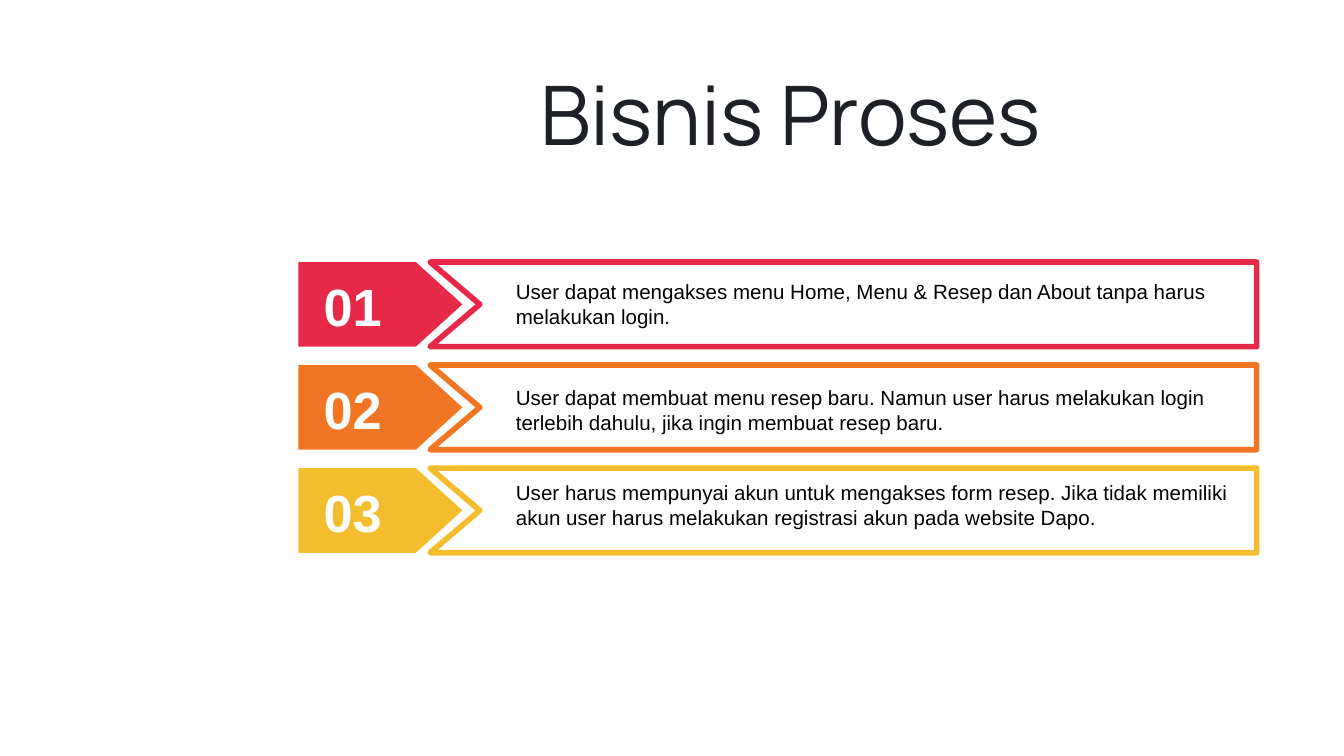
from dataclasses import dataclass

from lxml.etree import SubElement
from pptx import Presentation
from pptx.dml.color import RGBColor
from pptx.enum.shapes import MSO_SHAPE as Shape
from pptx.enum.text import MSO_ANCHOR as Anchor, MSO_AUTO_SIZE as Fit, PP_ALIGN as Align
from pptx.oxml.ns import qn
from pptx.util import Inches, Pt

WIDE = 10
HIGH = WIDE * 9 / 16

# Grid: columns and rows in inches
TAG_X, TAG_W = 2.22, 1.22
BOX_X, BOX_W, NOTCH = 3.2, 6.15, 0.37
NUM_X, NUM_W = 2.31, 0.66
TEXT_X, TEXT_H = 3.74, 0.47
TOP, ROW_H = 1.95, 0.63
STEP = 2.3 / 3

# Text formats
TITLE = {"size": Pt(44), "name": "Manrope"}
NUMBER = {"size": Pt(28), "name": "Arial", "bold": True}
BODY = {"size": Pt(11), "name": "Arial"}
MIDDLE = {"vertical_anchor": Anchor.MIDDLE}
GROW = {"auto_size": Fit.SHAPE_TO_FIT_TEXT}
FLAT = {"margin_top": 0, "margin_bottom": 0}


@dataclass
class Step:
    hue: str
    lines: list[str]
    drop: float  # gap from row top to text box
    width: float = 5.46


STEPS = [
    Step("E62949", ["User dapat mengakses menu Home, Menu & Resep dan About "
                    "tanpa harus melakukan login."], 0.08),
    Step("F07624", ["User dapat membuat menu resep baru. Namun user harus melakukan login",
                    "terlebih dahulu, jika ingin membuat resep baru."], 0.1),
    Step("F4BD2D", ["User harus mempunyai akun untuk mengakses form resep. Jika tidak "
                    "memiliki akun user harus melakukan registrasi akun pada website Dapo."],
         0.04, 5.51),
]


def color(code: str) -> RGBColor:
    return RGBColor.from_string(code)


def apply(target, values: dict) -> None:
    for key, value in values.items():
        setattr(target, key, value)


def paint(shape, code: str) -> None:
    shape.shadow.inherit = False
    shape.fill.solid()
    shape.fill.fore_color.rgb = color(code)


def write(slide, area: tuple, lines: list[str], font: dict, ink: str,
          frame: dict, align=Align.LEFT) -> None:
    text = slide.shapes.add_textbox(*map(Inches, area)).text_frame
    apply(text, {"word_wrap": True, **frame})
    text.text = "\n".join(lines)
    for par in text.paragraphs:
        par.alignment = align
        for run in par.runs:
            apply(run.font, font)
            run.font.color.rgb = color(ink)


def draw_tag(slide, top: float, hue: str) -> None:
    area = map(Inches, (TAG_X, top, TAG_W, ROW_H))
    tag = slide.shapes.add_shape(Shape.PENTAGON, *area)
    tag.adjustments[0] = 0.55
    paint(tag, hue)
    tag.line.fill.background()


def draw_box(slide, top: float, hue: str) -> None:
    right, base = BOX_X + BOX_W, top + ROW_H
    start, *rest = [(Inches(x), Inches(y)) for x, y in (
        (BOX_X, top), (right, top), (right, base), (BOX_X, base),
        (BOX_X + NOTCH, top + ROW_H / 2))]
    pen = slide.shapes.build_freeform(*start)
    pen.add_line_segments(rest, close=True)
    box = pen.convert_to_shape()
    paint(box, "FFFFFF")
    box.line.color.rgb = color(hue)
    box.line.width = Pt(3)
    SubElement(box.get_or_add_ln(), qn("a:round"))  # rounded corners


def draw_step(slide, index: int, step: Step) -> None:
    top = TOP + index * STEP
    draw_tag(slide, top, step.hue)
    draw_box(slide, top, step.hue)
    write(slide, (NUM_X, top + 0.09, NUM_W, TEXT_H), [f"{index + 1:02}"],
          NUMBER, "FFFFFF", MIDDLE | GROW | FLAT)
    write(slide, (TEXT_X, top + step.drop, step.width, TEXT_H), step.lines,
          BODY, "000000", GROW)


def main() -> None:
    deck = Presentation()
    apply(deck, {"slide_width": Inches(WIDE), "slide_height": Inches(HIGH)})
    slide = deck.slides.add_slide(deck.slide_layouts[6])
    # Heading
    write(slide, (1.77, 0.35, WIDE - 1.77, 0.97), ["Bisnis Proses"],
          TITLE, "1D2125", MIDDLE, Align.CENTER)
    # Numbered rows
    for index, step in enumerate(STEPS):
        draw_step(slide, index, step)
    deck.save("out.pptx")


if __name__ == "__main__":
    main()
